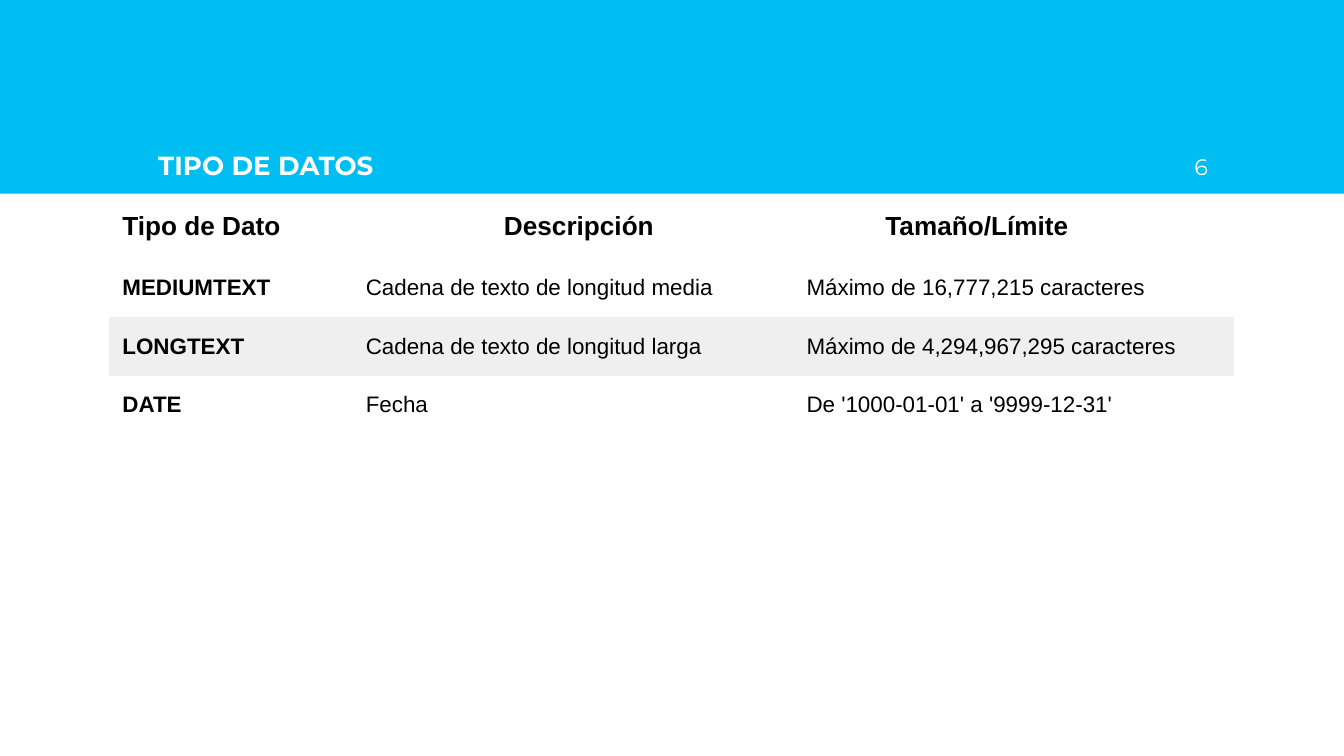
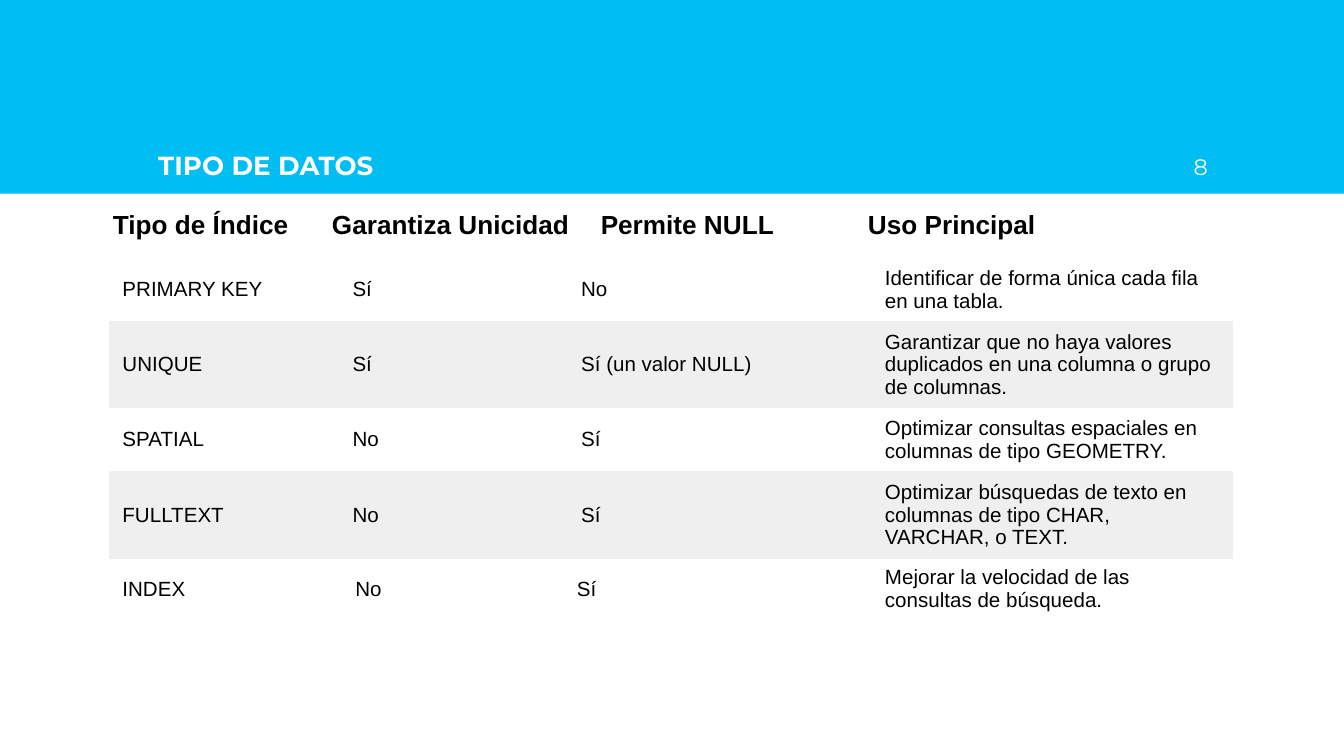
from pptx import Presentation
from pptx.dml.color import RGBColor
from pptx.enum import shapes, text
from pptx.oxml.ns import qn
from pptx.util import Cm, Pt

SKY, WHITE, BLACK, STRIPE = "00BEF2", "FFFFFF", "000000", "EFEFEF"
TITLE_FONT, TABLE_FONT = "Montserrat", "Arial"
PLAIN_STYLE = "{2D5ABB26-0587-4C30-8999-92F81FD0307C}"  # no fill, no grid
SLIDE_W, SLIDE_H, BAND_H = 25.4, 14.29, 3.66
BODY_X, BODY_Y = 2.06, 4.88
ROW_H, HEADER_H = 1.11, 0.83

DATA_TYPES = [
    ["MEDIUMTEXT", "Cadena de texto de longitud media", "Máximo de 16,777,215 caracteres"],
    ["LONGTEXT", "Cadena de texto de longitud larga", "Máximo de 4,294,967,295 caracteres"],
    ["DATE", "Fecha", "De '1000-01-01' a '9999-12-31'"],
]
INDEXES = [
    ["PRIMARY KEY", "Sí", "No", "Identificar de forma única cada fila en una tabla."],
    ["UNIQUE", "Sí", "Sí (un valor NULL)",
     "Garantizar que no haya valores duplicados en una columna o grupo de columnas."],
    ["SPATIAL", "No", "Sí", "Optimizar consultas espaciales en columnas de tipo GEOMETRY."],
    ["FULLTEXT", "No", "Sí",
     "Optimizar búsquedas de texto en columnas de tipo CHAR, VARCHAR, o TEXT."],
]
PLAIN_INDEX = [["INDEX", "No", "Sí", "Mejorar la velocidad de las consultas de búsqueda."]]


def color(value):
    return RGBColor.from_string(value)


def add_run(paragraph, words, font, size, ink, bold=False):
    run = paragraph.add_run()
    run.text = words
    run.font.name, run.font.size, run.font.bold = font, Pt(size), bold
    run.font.color.rgb = color(ink)


def add_band_text(slide, x, width, words, size, bold=False, align=text.PP_ALIGN.LEFT):
    """Place white text standing on the lower edge of the band."""
    height = 1.85
    frame = slide.shapes.add_textbox(
        Cm(x), Cm(BAND_H - height), Cm(width), Cm(height)).text_frame
    frame.word_wrap = True
    frame.vertical_anchor = text.MSO_ANCHOR.BOTTOM
    frame.margin_left = frame.margin_right = Cm(0.25)
    frame.margin_top = frame.margin_bottom = Cm(0.25)
    paragraph = frame.paragraphs[0]
    paragraph.alignment = align
    add_run(paragraph, words, TITLE_FONT, size, WHITE, bold)


def add_titled_slide(deck, title, number):
    slide = deck.slides.add_slide(deck.slide_layouts[6])
    band = slide.shapes.add_shape(
        shapes.MSO_SHAPE.RECTANGLE, 0, 0, Cm(SLIDE_W), Cm(BAND_H))
    band.shadow.inherit = False
    band.fill.solid()
    band.fill.fore_color.rgb = color(SKY)
    band.line.fill.background()
    add_band_text(slide, 2.74, 19.86, title, 14, bold=True)
    add_band_text(slide, 21.56, 1.52, str(number), 12, align=text.PP_ALIGN.RIGHT)
    return slide


def add_grid(slide, x, y, widths, row_heights, rows, size, bold_columns=()):
    """Add a table whose every second row is striped."""
    frame = slide.shapes.add_table(
        len(rows), len(widths), Cm(x), Cm(y), Cm(sum(widths)), Cm(sum(row_heights)))
    for style in frame.element.iter(qn("a:tableStyleId")):
        style.text = PLAIN_STYLE
    grid = frame.table
    grid.first_row = grid.horz_banding = False
    for column, width in zip(grid.columns, widths):
        column.width = Cm(width)
    for r, (row, height, entries) in enumerate(zip(grid.rows, row_heights, rows)):
        row.height = Cm(height)
        for c, (cell, words) in enumerate(zip(row.cells, entries)):
            cell.vertical_anchor = text.MSO_ANCHOR.MIDDLE
            if r % 2:
                cell.fill.solid()
                cell.fill.fore_color.rgb = color(STRIPE)
            else:
                cell.fill.background()
            add_run(cell.text_frame.paragraphs[0], words, TABLE_FONT, size, BLACK,
                    c in bold_columns)


def add_header(slide, x, y, widths, headings):
    add_grid(slide, x, y, widths, [HEADER_H], [headings], 14, range(len(headings)))


def build_data_types(deck):
    slide = add_titled_slide(deck, "TIPO DE DATOS", 6)
    add_grid(slide, BODY_X, BODY_Y, [4.6, 8.33, 8.33], [ROW_H] * 3, DATA_TYPES, 12, [0])
    add_header(slide, BODY_X, 3.86, [7.21] * 3,
               ["Tipo de Dato", "Descripción", "Tamaño/Límite"])


def build_indexes(deck):
    slide = add_titled_slide(deck, "TIPO DE DATOS", 8)
    heights = [ROW_H, 1.55, ROW_H, 1.55]
    add_grid(slide, BODY_X, BODY_Y, [4.35, 4.32, 5.74, 6.84], heights, INDEXES, 11)
    add_grid(slide, BODY_X, 10.54, [4.4, 4.19, 5.82, 6.84], [ROW_H], PLAIN_INDEX, 11)
    add_header(slide, 1.88, 3.84, [4.14, 5.08, 5.05, 7.34],
               ["Tipo de Índice", "Garantiza Unicidad", "Permite NULL", "Uso Principal"])


def main():
    deck = Presentation()
    deck.slide_width, deck.slide_height = Cm(SLIDE_W), Cm(SLIDE_H)
    build_data_types(deck)
    build_indexes(deck)
    deck.save("out.pptx")


if __name__ == "__main__":
    main()
